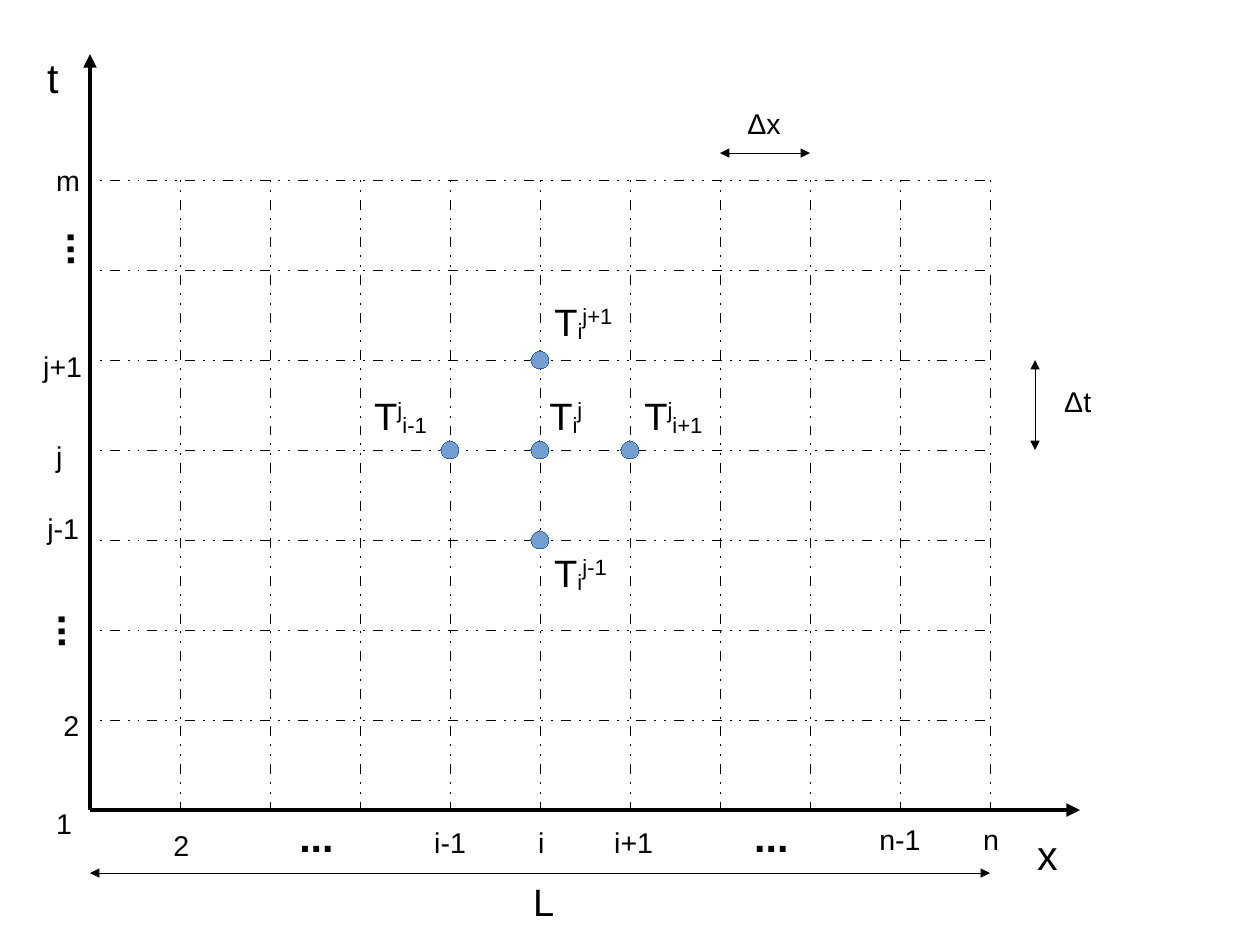
"""Draw the finite difference grid in space x and time t with its five-point stencil."""
from pptx import Presentation
from pptx.dml.color import RGBColor
from pptx.enum.shapes import MSO_CONNECTOR, MSO_SHAPE
from pptx.enum.text import MSO_AUTO_SIZE
from pptx.oxml.ns import qn
from pptx.util import Emu, Pt
from lxml.etree import SubElement

PX = 8000
STEP = 90
LEFT, RIGHT = 90, 990
TOP, BOTTOM = 180, 810
NODE = 18
HAIRLINE = Emu(1)
BLACK = RGBColor(0x00, 0x00, 0x00)
NODE_FILL = RGBColor(0x72, 0x9F, 0xCF)
NODE_LINE = RGBColor(0x34, 0x65, 0xA4)
GRID_DASH = [(2, 8), (2, 8), (10, 9)]
SUB, SUPER = -8000, 33000
BOX_FORMAT = {"word_wrap": False, "auto_size": MSO_AUTO_SIZE.SHAPE_TO_FIT_TEXT}

deck = Presentation()
deck.slide_width, deck.slide_height = Emu(1260 * PX), Emu(945 * PX)
page = deck.slides.add_slide(deck.slide_layouts[6])


def draw_line(start, end, width, ends=(), dashes=()):
    """Draw a black line with optional arrowheads and dashes."""
    points = [Emu(value * PX) for value in (*start, *end)]
    connector = page.shapes.add_connector(MSO_CONNECTOR.STRAIGHT, *points)
    connector.line.width = width
    connector.line.color.rgb = BLACK
    properties = connector.element.spPr
    outline = properties.find(qn("a:ln"))
    if dashes:
        pattern = SubElement(outline, qn("a:custDash"))
        for dash, gap in dashes:
            SubElement(pattern, qn("a:ds"), d=str(dash * 100000), sp=str(gap * 100000))
    for end_name in ends:
        SubElement(outline, qn(f"a:{end_name}"), type="triangle")
    SubElement(properties, qn("a:effectLst"))


def write_label(spans, area, size, bold=False, rotation=0):
    """Write a label from (text, baseline) spans."""
    box = page.shapes.add_textbox(*[Emu(value * PX) for value in area])
    box.rotation = rotation
    for name, value in BOX_FORMAT.items():
        setattr(box.text_frame, name, value)
    para = box.text_frame.paragraphs[0]
    for text, baseline in spans:
        span = para.add_run()
        span.text = text
        for name, value in {"name": "Arial", "size": Pt(size), "bold": bold}.items():
            setattr(span.font, name, value)
        span.font.color.rgb = BLACK
        if baseline:
            span.font._element.set("baseline", str(baseline))


for axis_end in [(LEFT, 54), (1080, BOTTOM)]:
    draw_line((LEFT, BOTTOM), axis_end, Pt(2.83), ends=["tailEnd"])

for y in range(TOP, BOTTOM, STEP):
    draw_line((LEFT, y), (RIGHT, y), Emu(PX), dashes=GRID_DASH)
for x in range(LEFT + STEP, RIGHT + 1, STEP):
    draw_line((x, TOP), (x, BOTTOM), Emu(PX), dashes=GRID_DASH)

for text, left, top, width in [
    ("1", 45, 800, 40), ("2", 162, 822, 40), ("i-1", 423, 819, 58),
    ("i", 527, 819, 31), ("i+1", 603, 819, 65), ("n-1", 868, 816, 67),
    ("n", 972, 816, 41), ("2", 52, 702, 40), ("j-1", 36, 505, 58),
    ("j", 45, 433, 31), ("j+1", 32, 343, 65), ("m", 45, 157, 50),
    ("Δt", 1053, 378, 56), ("Δx", 736, 100, 60),
]:
    write_label([(text, 0)], (left, top, width, 43), 18)

for text, left, top, width, size in [
    ("t", 36, 47, 36, 26), ("x", 1026, 824, 45, 26), ("L", 522, 873, 45, 24),
]:
    write_label([(text, 0)], (left, top, width, 57), size)

for left, top, rotation in [
    (288, 806, 0), (743, 806, 0), (18, 603, 269.2), (27, 221, 269.2),
]:
    write_label([("...", 0)], (left, top, 57, 57), 26, True, rotation)

for column, row in [(0, 0), (0, -1), (0, 1), (-1, 0), (1, 0)]:
    left = 540 + column * STEP - NODE // 2
    top = 450 + row * STEP - NODE // 2
    node = page.shapes.add_shape(
        MSO_SHAPE.OVAL, *[Emu(value * PX) for value in (left, top, NODE, NODE)])
    node.shadow.inherit = False
    node.fill.solid()
    node.fill.fore_color.rgb = NODE_FILL
    node.line.color.rgb = NODE_LINE
    node.line.width = HAIRLINE

for indices, left, top, width in [
    ([("i", SUB), ("j", SUPER)], 538, 387, 60),
    ([("j", SUPER), ("i+1", SUB)], 633, 387, 86),
    ([("i", SUB), ("j-1", SUPER)], 543, 544, 82),
    ([("i", SUB), ("j+1", SUPER)], 543, 293, 86),
    ([("j", SUPER), ("i-1", SUB)], 363, 387, 82),
]:
    write_label([("T", 0), *indices], (left, top, width, 69), 24)

for start, end in [
    ((720, 153), (810, 153)), ((1035, 360), (1035, 450)), ((LEFT, 873), (RIGHT, 873)),
]:
    draw_line(start, end, HAIRLINE, ends=["headEnd", "tailEnd"])

deck.save("out.pptx")
